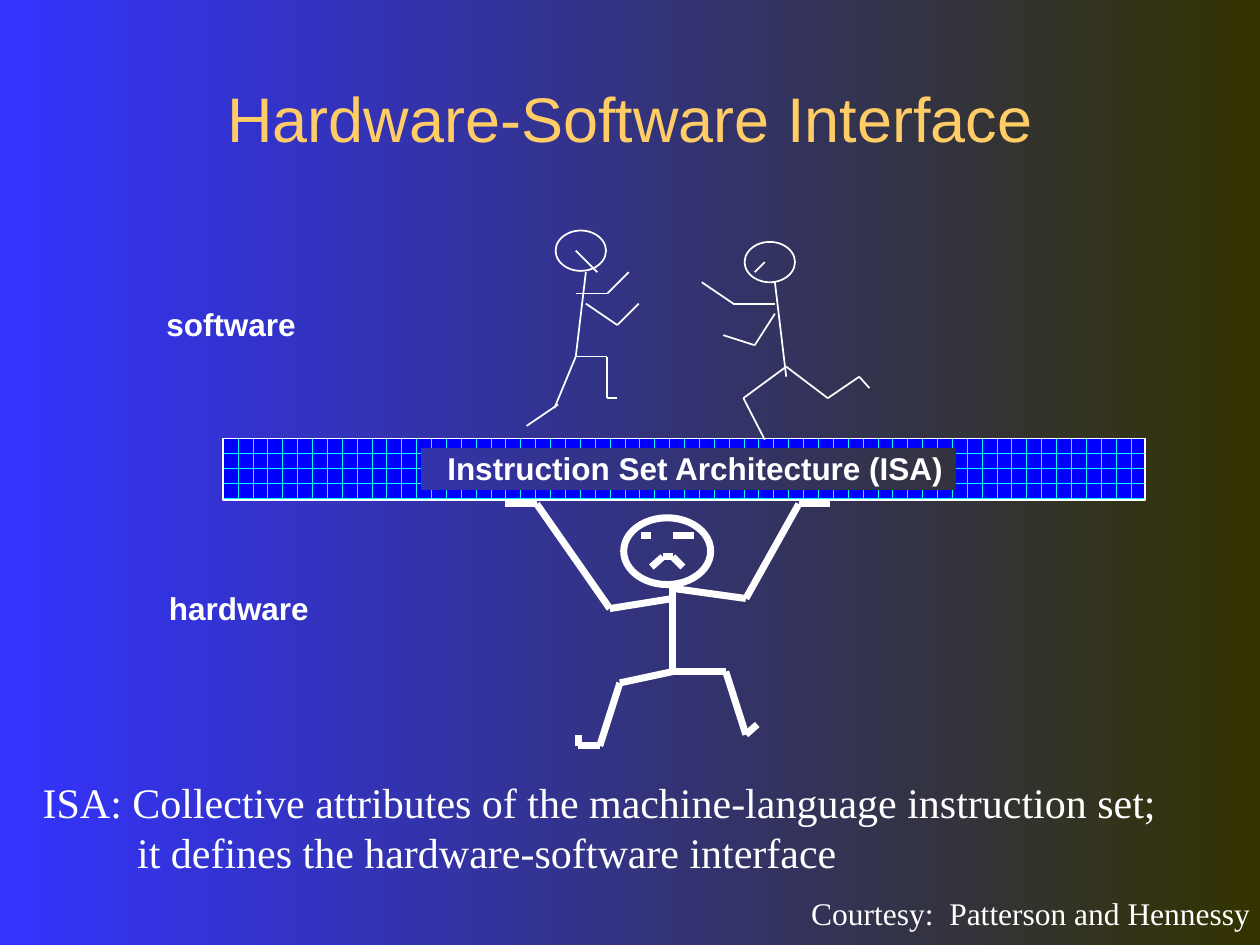
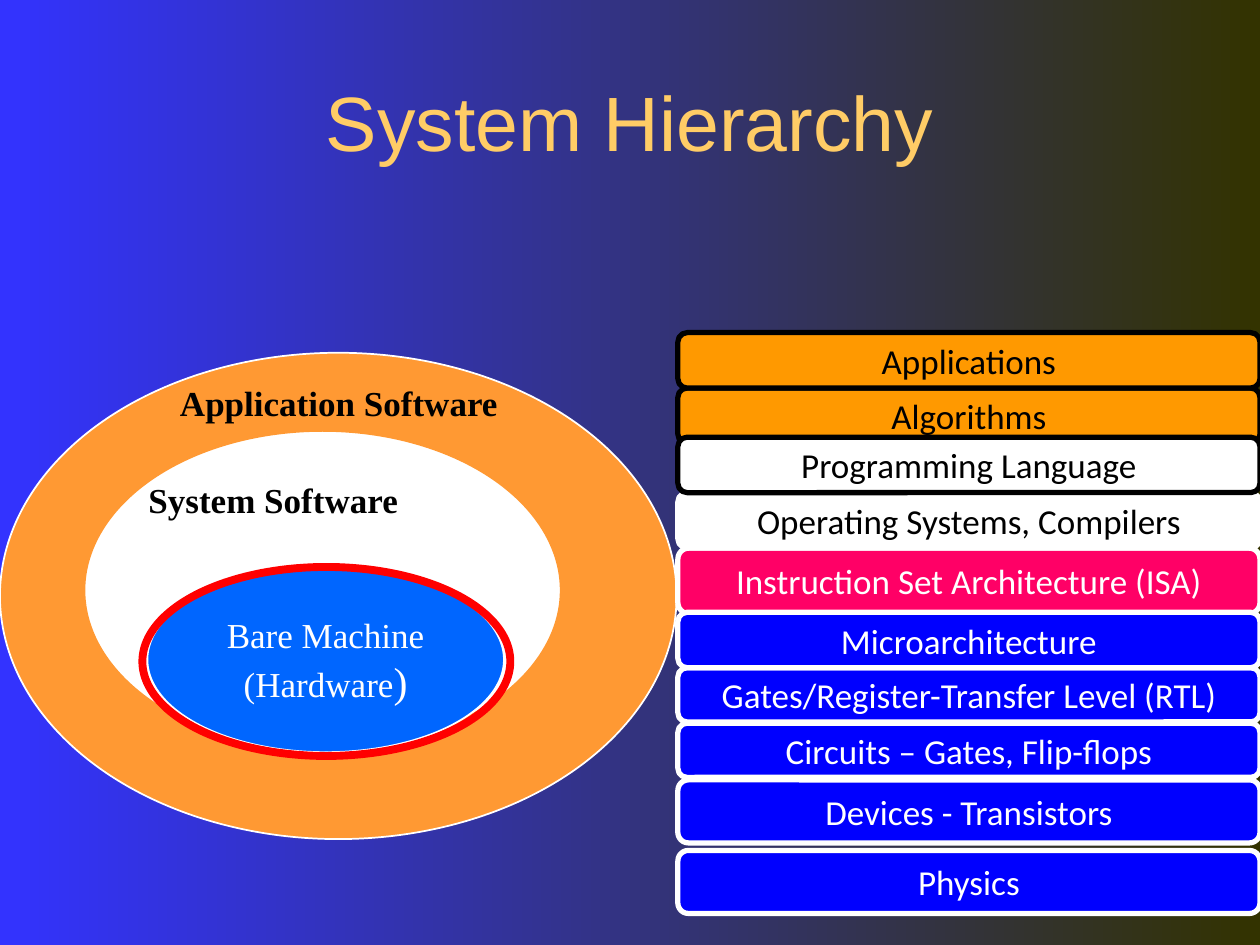
from itertools import pairwise

from lxml import etree
from pptx import Presentation
from pptx.dml.color import RGBColor
from pptx.enum.dml import MSO_PATTERN
from pptx.enum.shapes import MSO_CONNECTOR, MSO_SHAPE
from pptx.enum.text import MSO_ANCHOR, PP_ALIGN
from pptx.oxml.ns import qn
from pptx.util import Inches, Pt

# Shared colours, fonts and enum members
WHITE = RGBColor(0xFF, 0xFF, 0xFF)
BLACK = RGBColor(0, 0, 0)
GOLD = RGBColor(0xFF, 0xCC, 0x66)
ORANGE = RGBColor(0xFF, 0x99, 0x33)
AMBER = RGBColor(0xFF, 0x99, 0x00)
PINK = RGBColor(0xFF, 0x00, 0x66)
RED = RGBColor(0xFF, 0, 0)
BLUE = RGBColor(0, 0, 0xFF)
SKY = RGBColor(0, 0x66, 0xFF)
CYAN = RGBColor(0, 0xFF, 0xFF)
SANS, SERIF, BODY = "Arial", "Times New Roman", "Calibri"
RECT, OVAL, ROUND = MSO_SHAPE.RECTANGLE, MSO_SHAPE.OVAL, MSO_SHAPE.ROUNDED_RECTANGLE
LINE = MSO_CONNECTOR.STRAIGHT
LEFT, CENTER = PP_ALIGN.LEFT, PP_ALIGN.CENTER
TOP, MIDDLE = MSO_ANCHOR.TOP, MSO_ANCHOR.MIDDLE
BRICK = MSO_PATTERN.HORIZONTAL_BRICK
WIDE, HIGH = 10, 7.5
LABEL = (0.07, 0.03, 0, 0.03)

# Stick figures: head box and limb paths, from each figure's top left
CHASER = ((0.23, 0, 0.4, 0.32), [
    [(0.47, 0.33), (0.39, 1), (0.64, 1), (0.64, 1.33), (0.72, 1.33)],
    [(0.39, 1), (0.22, 1.41)],
    [(0.25, 1.38), (0, 1.55)],
    [(0.47, 0.58), (0.72, 0.75), (0.89, 0.58)],
    [(0.39, 0.5), (0.64, 0.5), (0.81, 0.33)],
    [(0.56, 0.33), (0.39, 0.16)],
])
RUNNER = ((0.34, 0, 0.4, 0.32), [
    [(0.58, 0.32), (0.67, 1.07)],
    [(0.5, 1.57), (0.33, 1.24), (0.67, 0.99), (1, 1.24), (1.25, 1.07), (1.33, 1.16)],
    [(0.58, 0.57), (0.42, 0.82), (0.17, 0.74)],
    [(0.58, 0.49), (0.25, 0.49), (0, 0.32)],
    [(0.42, 0.24), (0.5, 0.16)],
])
LIFTER = ((0.94, 0.11, 0.69, 0.53), [
    [(1.16, 0.5), (1.25, 0.42), (1.33, 0.42), (1.41, 0.5)],
    [(1.33, 0.25), (1.5, 0.25)],
    [(1.16, 0.25), (1.08, 0.25)],
    [(1.33, 0.67), (1.33, 1.33), (1.75, 1.33), (1.91, 1.83), (2, 1.75)],
    [(1.33, 1.33), (0.91, 1.42), (0.75, 1.92), (0.58, 1.92), (0.58, 1.83)],
    [(1.33, 0.67), (1.91, 0.75), (2.33, 0), (2.58, 0)],
    [(1.33, 0.75), (0.83, 0.83), (0.25, 0), (0, 0)],
])

# Layers in drawing order: text, top, height, fill, edge, ink
LAYERS = [
    ("Algorithms", 0.44, 0.44, AMBER, BLACK, BLACK),
    ("Applications", 0, 0.44, AMBER, BLACK, BLACK),
    ("Instruction Set Architecture (ISA)", 1.71, 0.52, PINK, WHITE, WHITE),
    ("Operating Systems, Compilers", 1.27, 0.44, WHITE, WHITE, BLACK),
    ("Programming Language", 0.83, 0.44, WHITE, BLACK, BLACK),
    ("Gates/Register-Transfer Level (RTL)", 2.66, 0.43, BLUE, WHITE, WHITE),
    ("Microarchitecture", 2.22, 0.44, BLUE, WHITE, WHITE),
    ("Devices - Transistors", 3.55, 0.5, BLUE, WHITE, WHITE),
    ("Physics", 4.11, 0.5, BLUE, WHITE, WHITE),
    ("Circuits – Gates, Flip-flops", 3.1, 0.43, BLUE, WHITE, WHITE),
]


def inch(box):
    return [Inches(n) for n in box]


def tint(x):
    """Colour of the backdrop at x inches from the left edge."""
    return RGBColor(0x33, 0x33, round(255 * (1 - x / WIDE)))


def fade(fill, left, right):
    fill.gradient()
    fill.gradient_angle = 0
    for stop, spot, x in zip(fill.gradient_stops, (0, 1), (left, right)):
        stop.position = spot
        stop.color.rgb = tint(x)


def style(run, size, font, ink, bold):
    run.font.size = Pt(size)
    run.font.name = font
    run.font.color.rgb = ink
    run.font.bold = bold


def write(frame, *lines, size=20, font=SERIF, ink=WHITE, bold=False, align=LEFT,
          anchor=TOP, pad=(0.1, 0.05, 0.1, 0.05), lead=None):
    frame.word_wrap = True
    frame.vertical_anchor = anchor
    (frame.margin_left, frame.margin_top,
     frame.margin_right, frame.margin_bottom) = inch(pad)
    for i, line in enumerate(lines):
        para = frame.add_paragraph() if i else frame.paragraphs[0]
        para.alignment = align
        para.line_spacing = lead
        run = para.add_run()
        run.text = line
        style(run, size, font, ink, bold)
    return frame.paragraphs[-1]


def note(slide, box, *lines, **look):
    return write(slide.shapes.add_textbox(*inch(box)).text_frame, *lines, **look)


def draw(slide, kind, box, fill=None, edge=None, width=1):
    shape = slide.shapes.add_shape(kind, *inch(box))
    shape.shadow.inherit = False
    if fill is None:
        shape.fill.background()
    else:
        shape.fill.solid()
        shape.fill.fore_color.rgb = fill
    if edge is None:
        shape.line.fill.background()
    else:
        shape.line.color.rgb = edge
        shape.line.width = Pt(width)
    return shape


def figure(slide, x, y, parts, width):
    (left, top, wide, high), limbs = parts
    draw(slide, OVAL, (x + left, y + top, wide, high), edge=WHITE, width=width)
    for limb in limbs:
        for (x1, y1), (x2, y2) in pairwise(limb):
            bone = slide.shapes.add_connector(
                LINE, *inch((x + x1, y + y1, x + x2, y + y2)))
            bone.line.color.rgb = WHITE
            bone.line.width = Pt(width)
            etree.SubElement(bone._element.spPr, qn("a:effectLst"))


def begin(deck, title, box, size):
    slide = deck.slides.add_slide(deck.slide_layouts[5])
    head = slide.shapes.title
    head.left, head.top, head.width, head.height = inch(box)
    write(head.text_frame, title, size=size, font=SANS, ink=GOLD,
          align=CENTER, anchor=MIDDLE)
    return slide


def beam(slide, x, y, wide, high):
    wall = draw(slide, RECT, (x, y, wide, high), BLUE, WHITE)
    wall.fill.patterned()
    wall.fill.pattern = BRICK
    wall.fill.fore_color.rgb = CYAN
    wall.fill.back_color.rgb = BLUE
    left, span = x + 1.57, 4.25
    plate = draw(slide, RECT, (left, y + 0.08, span, 0.33))
    fade(plate.fill, left, left + span)
    write(plate.text_frame, "Instruction Set Architecture (ISA)", size=18, font=SANS,
          bold=True, pad=(0.21, 0.03, 0, 0.03), lead=0.92)


def bridge(deck):
    slide = begin(deck, "Hardware-Software Interface", (0, 0.5, WIDE, 0.86), 36)
    beam(slide, 1.77, 3.48, 7.32, 0.49)
    figure(slide, 4.18, 1.83, CHASER, 1)
    figure(slide, 5.57, 1.92, RUNNER, 1)
    figure(slide, 4.01, 4, LIFTER, 4)
    for word, x, y in (("software", 1.25, 2.44), ("hardware", 1.27, 4.69)):
        note(slide, (x, y, 1.25, 0.31), word, size=18, font=SANS, bold=True,
             pad=LABEL, lead=0.85)
    # Definition and credit
    note(slide, (6.34, 7.05, 3.66, 0.4), "Courtesy:  Patterson and Hennessy",
         size=18, pad=(0.1, 0.05, 0, 0.05))
    last = note(slide, (0.24, 6.11, 9.09, 0.91),
                "ISA: Collective attributes of the machine-language instruction set;",
                "it defines the hardware-software interface", size=24)
    last._p.get_or_add_pPr().set("marL", str(Inches(0.75)))


def rings(slide, x, y):
    draw(slide, OVAL, (x, y, 5.37, 3.86), ORANGE, WHITE)
    note(slide, (x + 1.33, y + 0.18, 2.72, 0.43), "Application Software",
         ink=BLACK, bold=True, pad=(0.1, 0.05, 0, 0.05))
    draw(slide, OVAL, (x + 0.67, y + 0.62, 3.78, 2.53), WHITE, ORANGE)
    note(slide, (x + 1.08, y + 0.95, 3.42, 0.43), "System Software",
         ink=BLACK, bold=True)
    core = draw(slide, OVAL, (x + 1.17, y + 1.7, 2.83, 1.47), SKY, WHITE)
    last = write(core.text_frame, "Bare Machine", "(Hardware",
                 align=CENTER, anchor=MIDDLE)
    close = last.add_run()
    close.text = ")"
    style(close, 24, SERIF, WHITE, False)
    draw(slide, OVAL, (x + 1.13, y + 1.7, 2.92, 1.5), edge=RED, width=4.5)


def stack(slide, x, y, wide):
    for text, top, high, fill, edge, ink in LAYERS:
        bar = draw(slide, ROUND, (x, y + top, wide, high), fill, edge, 3)
        write(bar.text_frame, text, font=BODY, ink=ink, align=CENTER, anchor=MIDDLE)


def levels(deck):
    slide = begin(deck, "System Hierarchy", (0.75, 0.33, 8.5, 1.25), 44)
    rings(slide, 0, 2.8)
    stack(slide, 5.38, 2.64, 4.62)


def main():
    deck = Presentation()
    deck.slide_width, deck.slide_height = inch((WIDE, HIGH))
    fade(deck.slide_master.background.fill, 0, WIDE)
    bridge(deck)
    levels(deck)
    deck.save("out.pptx")


if __name__ == "__main__":
    main()
